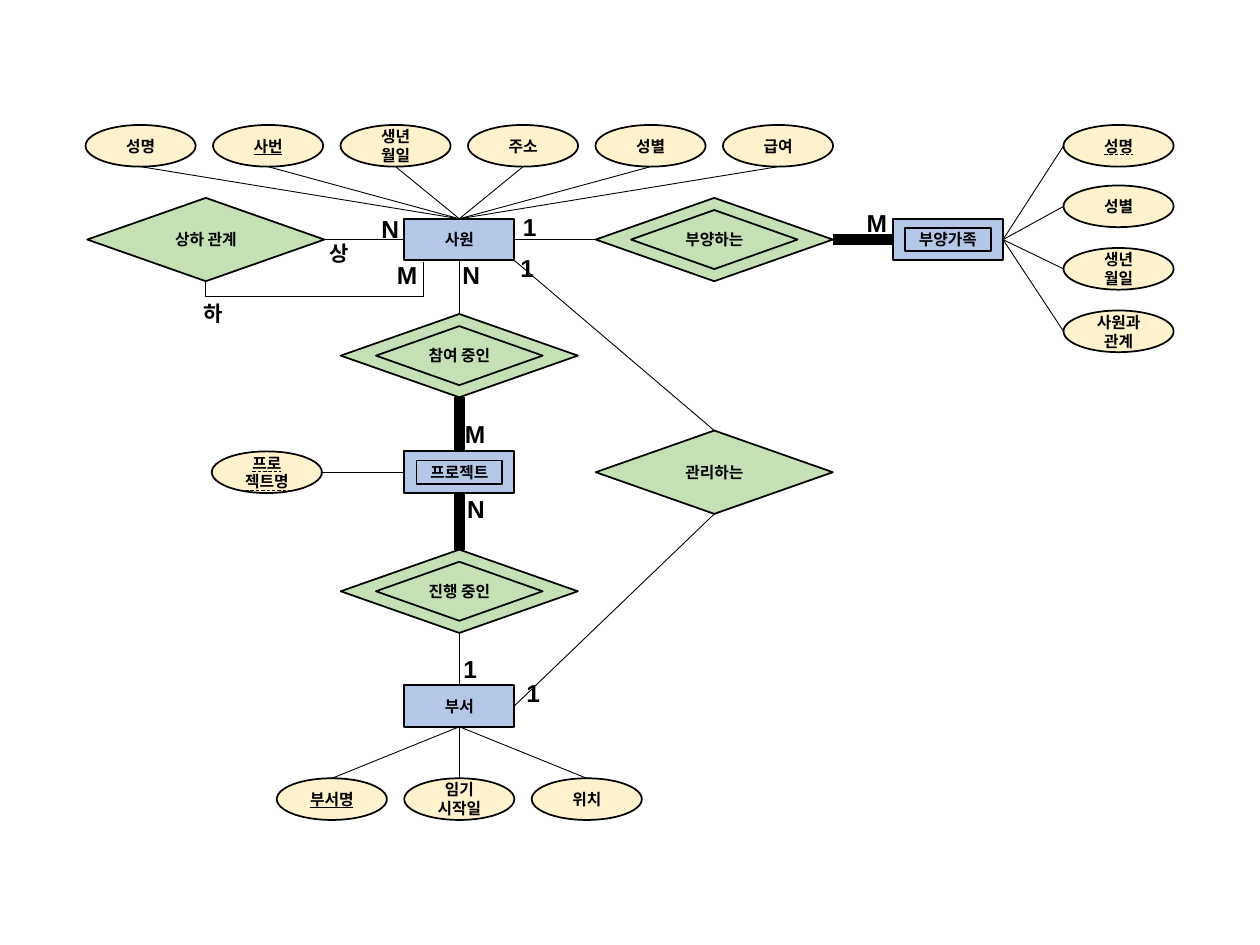
from lxml.etree import SubElement
from pptx import Presentation
from pptx.dml.color import RGBColor
from pptx.enum.shapes import MSO_CONNECTOR as Link, MSO_SHAPE as Form
from pptx.enum.text import MSO_ANCHOR as Anchor, MSO_AUTO_SIZE as Fit
from pptx.enum.text import MSO_UNDERLINE as Under, PP_ALIGN as Align
from pptx.oxml.ns import qn
from pptx.util import Cm, Pt

BLACK = "000000"
STYLES = {
    "entity": (Form.RECTANGLE, "B4C7E7", (2.22, 0.84), (1.73, 0.47)),
    "relation": (Form.DIAMOND, "C5E0B4", (4.78, 1.68), (3.36, 1.19)),
    "attribute": (Form.OVAL, "FFF2CC", (2.22, 0.84), None),
}
STEP = 2.57
MIDDLE, RIGHT = 9.26, 14.4
TOP, STAFF, PROJECT, DEPARTMENT = 2.94, 4.83, 9.52, 14.23

NODES = {
    "사원": ("entity", MIDDLE, STAFF, False),
    "부양가족": ("entity", 19.11, STAFF, True),
    "프로젝트": ("entity", MIDDLE, PROJECT, True),
    "부서": ("entity", MIDDLE, DEPARTMENT, False),
    "상하 관계": ("relation", 4.15, STAFF, False),
    "부양하는": ("relation", RIGHT, STAFF, True),
    "참여 중인": ("relation", MIDDLE, 7.17, True),
    "진행 중인": ("relation", MIDDLE, 11.92, True),
    "관리하는": ("relation", RIGHT, PROJECT, False),
}

UP, DOWN, WEST, EAST, CORNER = (0, -1), (0, 1), (-1, 0), (1, 0), (1, 1)
THIN, THICK = 0.5, 6
LINKS = [
    ("사원", WEST, "상하 관계", EAST, THIN),
    ("사원", EAST, "부양하는", WEST, THIN),
    ("사원", DOWN, "참여 중인", UP, THIN),
    ("사원", CORNER, "관리하는", UP, THIN),
    ("관리하는", DOWN, "부서", EAST, THIN),
    ("부양하는", EAST, "부양가족", WEST, THICK),
    ("참여 중인", DOWN, "프로젝트", UP, THICK),
    ("프로젝트", DOWN, "진행 중인", UP, THICK),
    ("진행 중인", DOWN, "부서", UP, THIN),
]

SOLID, DASHED = Under.SINGLE_LINE, Under.DASH_LINE
STAFF_FIELDS = [("성명", None), ("사번", SOLID), ("생년\n월일", None),
                ("주소", None), ("성별", None), ("급여", None)]
FAMILY_FIELDS = [("성명", DASHED, 2.94), ("성별", None, 4.16),
                 ("생년\n월일", None, 5.42), ("사원과\n관계", None, 6.68)]
DEPARTMENT_FIELDS = [("부서명", SOLID), ("임기\n시작일", None), ("위치", None)]


def row(owner, fields, y, side, far_side):
    first = MIDDLE - STEP * (len(fields) - 1) / 2
    return [(owner, side, text, under, first + STEP * i, y, far_side)
            for i, (text, under) in enumerate(fields)]


ATTRIBUTES = (
    row("사원", STAFF_FIELDS, TOP, UP, DOWN)
    + row("부서", DEPARTMENT_FIELDS, 16.11, DOWN, UP)
    + [("부양가족", EAST, text, under, 22.55, y, WEST)
       for text, under, y in FAMILY_FIELDS]
    + [("프로젝트", WEST, "프로\n젝트명", DASHED, 5.38, PROJECT, EAST)]
)

LABELS = [
    ("N", 7.44, 4.19, 14), ("1", 10.29, 4.14, 14), ("1", 10.24, 4.98, 14),
    ("M", 7.75, 5.11, 14), ("N", 9.07, 5.11, 14), ("M", 17.22, 4.06, 14),
    ("M", 9.12, 8.33, 14), ("N", 9.17, 9.83, 14), ("1", 9.09, 13.06, 14),
    ("1", 10.36, 13.54, 14), ("상", 6.4, 4.72, 12), ("하", 3.86, 5.94, 12),
]

deck = Presentation()
deck.slide_width, deck.slide_height = Cm(25.4), Cm(19.05)
page = deck.slides.add_slide(deck.slide_layouts[6])


def color(value):
    return RGBColor.from_string(value)


def write(frame, text, font="Calibri", size=9, align=Align.CENTER, under=None):
    frame.word_wrap = True
    for i, line in enumerate(text.split("\n")):
        para = frame.paragraphs[0] if i == 0 else frame.add_paragraph()
        para.alignment = align
        span = para.add_run()
        span.text = line
        span.font.name, span.font.size, span.font.bold = font, Pt(size), True
        span.font.color.rgb = color(BLACK)
        span.font.underline = under


def outline(form, x, y, size, fill=None):
    width, height = size
    shape = page.shapes.add_shape(form, Cm(x - width / 2), Cm(y - height / 2),
                                  Cm(width), Cm(height))
    shape.shadow.inherit = False
    shape.line.color.rgb, shape.line.width = color(BLACK), Pt(1)
    if fill:
        shape.fill.solid()
        shape.fill.fore_color.rgb = color(fill)
    else:
        shape.fill.background()
    return shape


def node(kind, x, y, text, double=False, under=None):
    form, fill, size, inner = STYLES[kind]
    frame = outline(form, x, y, size, fill).text_frame
    frame.margin_left = frame.margin_right = 0
    frame.margin_top = frame.margin_bottom = 0
    frame.vertical_anchor = Anchor.MIDDLE
    write(frame, text, under=under)
    if double:
        outline(form, x, y, inner)


def connect(start, end, weight=THIN, form=Link.STRAIGHT):
    line = page.shapes.add_connector(form, *map(Cm, start + end))
    line.line.color.rgb, line.line.width = color(BLACK), Pt(weight)
    SubElement(line._element.spPr, qn("a:effectLst"))
    return line


def edge(kind, x, y, side):
    width, height = STYLES[kind][2]
    return x + side[0] * width / 2, y + side[1] * height / 2


def port(name, side):
    kind, x, y, _ = NODES[name]
    return edge(kind, x, y, side)


for source, source_side, target, target_side, weight in LINKS:
    connect(port(source, source_side), port(target, target_side), weight)
for owner, side, text, under, x, y, far_side in ATTRIBUTES:
    connect(port(owner, side), edge("attribute", x, y, far_side))

loop = connect((6.54, 7.67), (6.14, 3.28), form=Link.ELBOW)
properties = loop._element.spPr
properties.find(qn("a:xfrm")).set("rot", "5400000")
adjustments = properties.find(qn("a:prstGeom")).find(qn("a:avLst"))
SubElement(adjustments, qn("a:gd"), name="adj1", fmla="val -74300")

for name, (kind, x, y, double) in NODES.items():
    node(kind, x, y, name, double)
for owner, side, text, under, x, y, far_side in ATTRIBUTES:
    node("attribute", x, y, text, under=under)

for text, left, top, size in LABELS:
    box = page.shapes.add_textbox(Cm(left), Cm(top), Cm(0.56),
                                  Cm(0.86 if size == 14 else 0.76))
    write(box.text_frame, text, "Arial", size, Align.LEFT)
    box.text_frame.auto_size = Fit.SHAPE_TO_FIT_TEXT

deck.save("out.pptx")
